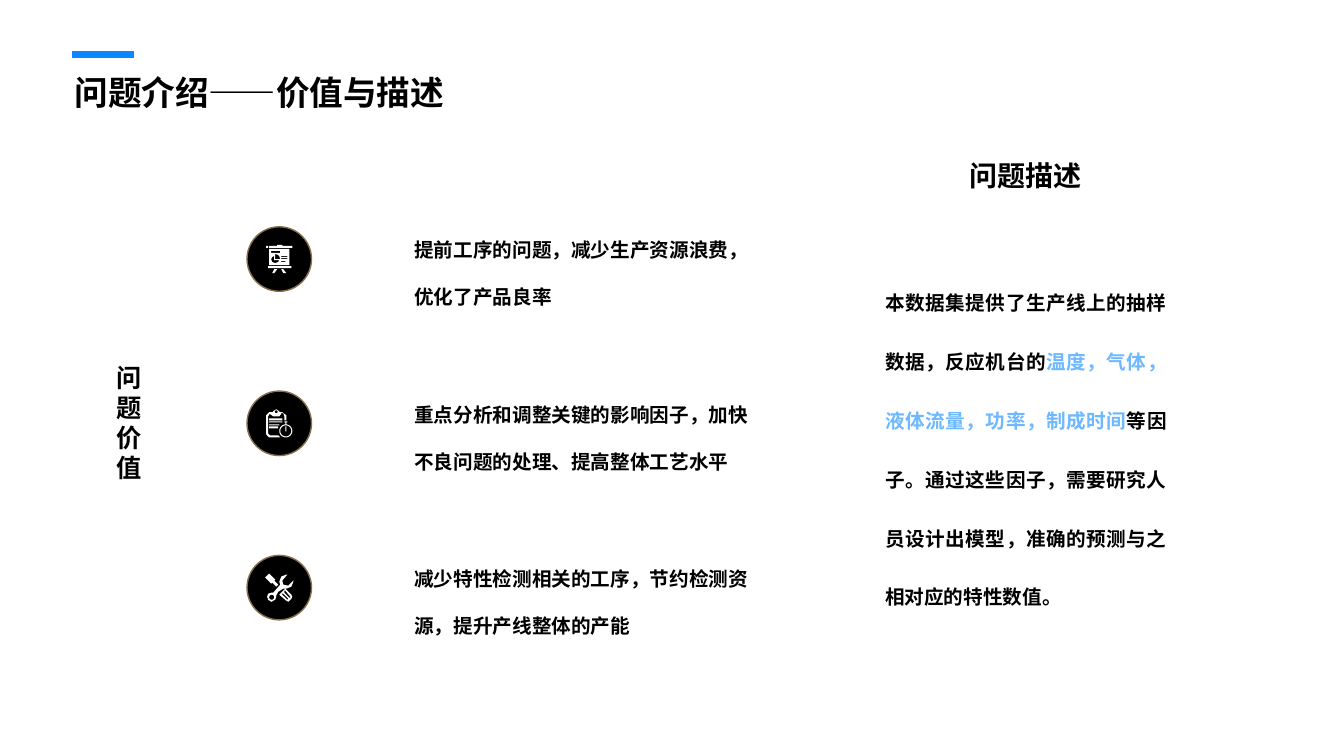
from math import cos, pi, sin
from lxml import etree
from pptx import Presentation
from pptx.dml.color import RGBColor
from pptx.enum.shapes import MSO_CONNECTOR, MSO_SHAPE
from pptx.enum.text import MSO_AUTO_SIZE, PP_ALIGN
from pptx.oxml.ns import qn
from pptx.util import Inches, Pt

STRAIGHT = MSO_CONNECTOR.STRAIGHT
OVAL = MSO_SHAPE.OVAL
FIT_SHAPE = MSO_AUTO_SIZE.SHAPE_TO_FIT_TEXT
LEFT, JUSTIFY = PP_ALIGN.LEFT, PP_ALIGN.JUSTIFY
BLACK = RGBColor(0x00, 0x00, 0x00)
WHITE = RGBColor(0xFF, 0xFF, 0xFF)
ACCENT = RGBColor(0x0B, 0x88, 0xFF)
HIGHLIGHT = RGBColor(0x6D, 0xB8, 0xFF)
BRONZE = RGBColor(0x88, 0x71, 0x4E)
FONT = "Noto Sans CJK SC"

TITLE = [("问题介绍——价值与描述", BLACK)]
VALUE_HEADING = [("问题价值", BLACK)]
DESCRIPTION_HEADING = [("问题描述", BLACK)]
DESCRIPTION = [
    ("本数据集提供了生产线上的抽样数据，反应机台的", BLACK),
    ("温度，气体，液体流量，功率，制成时间", HIGHLIGHT),
    ("等因子。通过这些因子，需要研究人员设计出模型，准确的预测与之相对应的特性数值。", BLACK),
]
VALUES = [
    "提前工序的问题，减少生产资源浪费，优化了产品良率",
    "重点分析和调整关键的影响因子，加快不良问题的处理、提高整体工艺水平",
    "减少特性检测相关的工序，节约检测资源，提升产线整体的产能",
]

BOARD_ICON = {
    "left": 2.64,
    "boxes": [(0, 1, 2, 3), (3, 1, 24, 3), (11, 0, 16, 1), (24, 1, 26, 3),
              (3, 4, 23, 20), (15, 16, 19, 17), (15, 13, 21, 14),
              (15, 11, 21, 12), (5, 6, 14, 8), (2, 21, 25, 23)],
    "circles": [],
    "outlines": [
        [(8, 24), (11, 24), (8, 28), (6, 28)],
        [(15, 24), (17, 24), (20, 28), (17, 28)],
        [(9, 18), (12, 17), (13, 15), (8, 15), (8, 11), (6, 12), (5, 14), (6, 17)],
        [(9, 9), (9, 14), (14, 14), (13, 11), (12, 10)],
    ],
}
CLIPBOARD_ICON = {
    "left": 2.64,
    "boxes": [(3, 17, 12, 19), (3, 15, 13, 16), (3, 9, 16, 11), (3, 12, 16, 13),
              (18, 12, 21, 13), (19, 13, 20, 15), (19, 17, 20, 22)],
    "circles": [(19.5, 21.5, 6.5), (19.5, 21.5, 5.5), (10, 2.5, 1.5)],
    "outlines": [
        [(18, 7), (17, 4), (15, 4), (15, 5), (13, 7), (7, 7), (4, 5), (4, 4),
         (2, 7), (2, 24), (4, 26), (12, 26), (14, 28), (3, 28), (0, 25), (0, 6),
         (3, 3), (7, 3), (7, 2), (10, 0), (13, 2), (13, 3), (16, 3), (20, 6),
         (20, 11), (18, 11)],
    ],
}
TOOLS_ICON = {
    "left": 2.63,
    "boxes": [],
    "circles": [(6.5, 23.5, 2.5)],
    "outlines": [
        [(18, 15), (21, 15), (26, 13), (28, 8), (28, 7), (23, 12), (18, 11),
         (17, 7), (22, 1), (21, 1), (16, 3), (14, 8), (15, 11), (8, 19), (6, 19),
         (3, 20), (2, 23), (3, 26), (6, 28), (10, 26), (11, 23), (11, 22), (13, 18)],
        [(7, 9), (11, 13), (13, 11), (9, 7), (10, 6), (4, 0), (0, 4), (6, 10)],
        [(20, 15), (14, 21), (21, 27), (23, 28), (24, 27), (26, 25), (27, 23), (26, 21)],
        [(22, 26), (17, 21), (16, 20), (18, 20), (23, 25)],
        [(25, 24), (24, 24), (19, 19), (19, 17), (20, 17), (25, 23)],
    ],
}
ICONS = [BOARD_ICON, CLIPBOARD_ICON, TOOLS_ICON]
FIRST_ROW, ROW_STEP = 2.08, 1.63
DISC_LEFT, DISC_SIZE = 2.45, 0.64
DISC_DROP, ICON_DROP = 0.17, 0.35


def add_text(slide, box, runs, size, spacing=1.0, alignment=LEFT, wrap=True):
    shape = slide.shapes.add_textbox(*map(Inches, box))
    frame = shape.text_frame
    frame.word_wrap = wrap
    frame.auto_size = FIT_SHAPE
    paragraph = frame.paragraphs[0]
    paragraph.alignment = alignment
    paragraph.line_spacing = spacing
    for text, color in runs:
        run = paragraph.add_run()
        run.text = text
        for name, value in {"name": FONT, "size": Pt(size), "bold": True}.items():
            setattr(run.font, name, value)
        run.font.color.rgb = color
        etree.SubElement(run.font._element, qn("a:ea"), typeface=FONT)


def circle_points(x, y, radius, count=24):
    angles = [2 * pi * step / count for step in range(count)]
    return [(x + radius * cos(a), y + radius * sin(a)) for a in angles]


def icon_contours(icon):
    boxes = [[(l, t), (r, t), (r, b), (l, b)] for l, t, r, b in icon["boxes"]]
    circles = [circle_points(*circle) for circle in icon["circles"]]
    return boxes + circles + icon["outlines"]


def add_icon(slide, icon, row_top):
    group = slide.shapes.add_group_shape()
    disc = group.shapes.add_shape(
        OVAL, Inches(DISC_LEFT), Inches(row_top + DISC_DROP),
        Inches(DISC_SIZE), Inches(DISC_SIZE))
    disc.line.color.rgb = BRONZE
    disc.line.width = Pt(1)

    contours = [
        [(Inches(icon["left"] + x / 100), Inches(row_top + ICON_DROP + y / 100))
         for x, y in contour]
        for contour in icon_contours(icon)
    ]
    builder = group.shapes.build_freeform(*contours[0][0])
    builder.add_line_segments(contours[0][1:])
    for contour in contours[1:]:
        builder.move_to(*contour[0])
        builder.add_line_segments(contour[1:])
    symbol = builder.convert_to_shape()
    symbol.line.fill.background()

    for shape, color in ((disc, BLACK), (symbol, WHITE)):
        shape.shadow.inherit = False
        shape.fill.solid()
        shape.fill.fore_color.rgb = color


def main():
    presentation = Presentation()
    presentation.slide_width = Inches(13.33)
    presentation.slide_height = Inches(7.5)
    slide = presentation.slides.add_slide(presentation.slide_layouts[6])

    accent = slide.shapes.add_connector(
        STRAIGHT, Inches(0.71), Inches(0.54), Inches(1.33), Inches(0.54))
    accent.line.color.rgb = ACCENT
    accent.line.width = Pt(5)
    etree.SubElement(accent._element.spPr, qn("a:effectLst"))

    add_text(slide, (8.68, 2.49, 2.99, 3.53), DESCRIPTION, 14, 2.5, JUSTIFY)
    add_text(slide, (0.64, 0.66, 3.96, 0.5), TITLE, 24, wrap=False)
    add_text(slide, (1.06, 3.54, 0.26, 1.31), VALUE_HEADING, 18)
    add_text(slide, (9.52, 1.52, 1.32, 0.44), DESCRIPTION_HEADING, 20)
    for row, (text, icon) in enumerate(zip(VALUES, ICONS)):
        row_top = FIRST_ROW + row * ROW_STEP
        add_icon(slide, icon, row_top)
        add_text(slide, (4.01, row_top, 3.58, 0.97), [(text, BLACK)], 14, 2.0)

    presentation.save("out.pptx")


if __name__ == "__main__":
    main()
